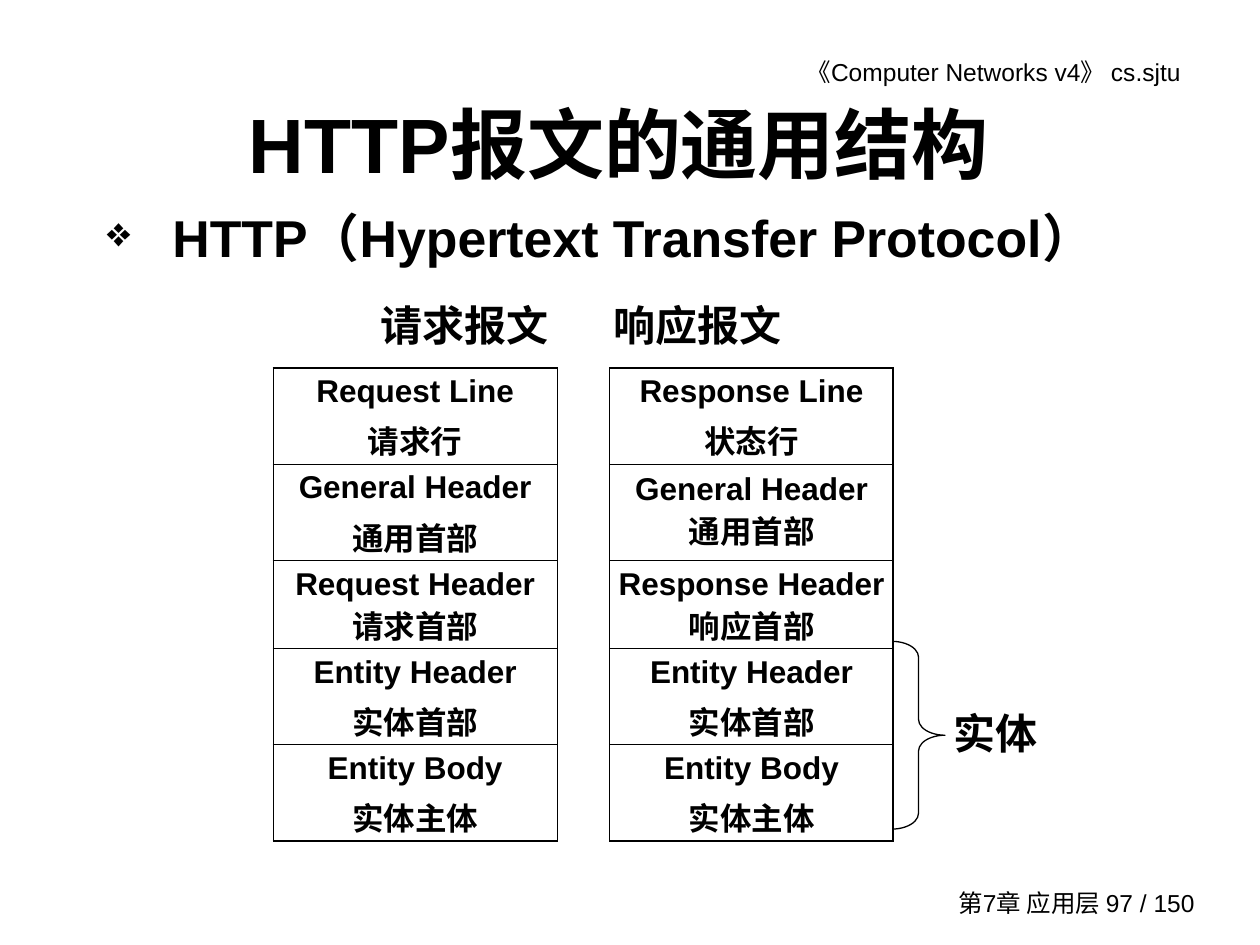
from dataclasses import dataclass

from lxml.etree import SubElement
from pptx import Presentation
from pptx.dml.color import RGBColor
from pptx.enum.shapes import MSO_SHAPE
from pptx.enum.text import MSO_ANCHOR, PP_ALIGN
from pptx.oxml import parse_xml
from pptx.oxml.ns import nsdecls, qn
from pptx.util import Inches, Pt


@dataclass(frozen=True)
class Theme:
    ink: RGBColor = RGBColor(0, 0, 0)
    paper: RGBColor = RGBColor(255, 255, 255)
    latin: str = "Arial"
    chinese: str = "Noto Sans CJK SC"
    title: float = 44
    body: float = 29.6
    heading: float = 24
    cell: float = 18
    small: float = 14
    outer_line: float = 1.08
    inner_line: float = 0.45
    brace_line: float = 0.75
    cell_gap: float = 4.5


THEME = Theme()
SLIDE_WIDTH, SLIDE_HEIGHT = Inches(10), Inches(7.5)


def columns(count):
    return round(count * SLIDE_WIDTH / 100)


def rows(count):
    return round(count * SLIDE_HEIGHT / 75)


@dataclass(frozen=True)
class Box:
    """A region in columns and rows of the slide grid."""
    left: float
    top: float
    width: float
    height: float

    def place(self):
        return (columns(self.left), rows(self.top),
                columns(self.width), rows(self.height))


# English name, Chinese name, and whether the two lines are spaced apart
REQUEST = [("Request Line", "请求行", True), ("General Header", "通用首部", True),
           ("Request Header", "请求首部", False), ("Entity Header", "实体首部", True),
           ("Entity Body", "实体主体", True)]
RESPONSE = [("Response Line", "状态行", True), ("General Header", "通用首部", False),
            ("Response Header", "响应首部", False), ("Entity Header", "实体首部", True),
            ("Entity Body", "实体主体", True)]


def add_span(para, text, size, bold=True, latin=THEME.latin):
    span = para.add_run()
    span.text = text
    span.font.name = latin
    span.font.size = Pt(size)
    span.font.bold = bold
    span.font.color.rgb = THEME.ink
    east_asian = SubElement(span.font._element, qn("a:ea"))
    east_asian.set("typeface", THEME.chinese)


def add_text(page, box, anchor=MSO_ANCHOR.TOP, align=PP_ALIGN.LEFT,
             inset_left=1, inset_right=1):
    frame = page.shapes.add_textbox(*box.place()).text_frame
    frame.word_wrap = True
    frame.vertical_anchor = anchor
    frame.margin_left, frame.margin_right = columns(inset_left), columns(inset_right)
    para = frame.paragraphs[0]
    para.alignment = align
    return para


def running_line(page, box, text, anchor=MSO_ANCHOR.TOP, inset_right=1):
    para = add_text(page, box, anchor, PP_ALIGN.RIGHT, inset_right=inset_right)
    add_span(para, text, THEME.small, bold=False)


def title(page, box):
    para = add_text(page, box, MSO_ANCHOR.MIDDLE, PP_ALIGN.CENTER, inset_right=2.7)
    add_span(para, "HTTP报文的通用结构", THEME.title)


def bullet_line(page, box):
    para = add_text(page, box)
    properties = para._p.get_or_add_pPr()
    indent = columns(5.2)
    properties.set("marL", str(indent))
    properties.set("indent", str(-indent))
    SubElement(properties, qn("a:buSzPct")).set("val", "80000")
    SubElement(properties, qn("a:buChar")).set("char", "❖")
    add_span(para, "HTTP（Hypertext Transfer Protocol）", THEME.body)


def column_headings(page, box):
    para = add_text(page, box, inset_left=8)
    stops = SubElement(para._p.get_or_add_pPr(), qn("a:tabLst"))
    stop = SubElement(stops, qn("a:tab"))
    stop.set("pos", str(columns(18.5)))
    stop.set("algn", "l")
    add_span(para, "请求报文\t响应报文", THEME.heading, latin=THEME.chinese)


def set_borders(cell, widths):
    """Draw the left, right, top and bottom borders; zero means no line."""
    properties = cell._tc.get_or_add_tcPr()
    for index, (side, width) in enumerate(zip("LRTB", widths)):
        paint = (f'<a:solidFill><a:srgbClr val="{THEME.ink}"/></a:solidFill>'
                 if width else "<a:noFill/>")
        properties.insert(index, parse_xml(
            f'<a:ln{side} {nsdecls("a")} w="{Pt(width)}">{paint}</a:ln{side}>'))


def fill_cell(cell, english, chinese, spaced):
    cell.vertical_anchor = MSO_ANCHOR.MIDDLE
    first = cell.text_frame.paragraphs[0]
    second = cell.text_frame.add_paragraph()
    if spaced:
        second.space_before = Pt(THEME.cell_gap)
    for para, text in ((first, english), (second, chinese)):
        para.alignment = PP_ALIGN.CENTER
        add_span(para, text, THEME.cell)


def message_table(page, box):
    table = page.shapes.add_table(len(REQUEST), 3, *box.place()).table
    table.first_row = table.horz_banding = False
    gap = 4.2
    message_width = (box.width - gap) / 2
    for column, width in zip(table.columns, (message_width, gap, message_width)):
        column.width = columns(width)
    for index, row in enumerate(table.rows):
        row.height = rows(6.8 if index == 2 else 7.5)

    outer, inner = THEME.outer_line, THEME.inner_line
    last = len(REQUEST) - 1
    for index, pair in enumerate(zip(REQUEST, RESPONSE)):
        request, spacer, response = (table.cell(index, column) for column in range(3))
        for cell in (request, spacer, response):
            cell.fill.background()
            cell.margin_left = cell.margin_right = columns(0.4)
            cell.margin_top = cell.margin_bottom = rows(0.5)
        for cell, message in zip((request, response), pair):
            fill_cell(cell, *message)
        top = outer if index == 0 else inner
        bottom = outer if index == last else inner
        set_borders(request, (outer, inner, top, bottom))
        set_borders(spacer, (inner, inner, 0, 0))
        set_borders(response, (inner, outer, top, bottom))


def entity_mark(page, brace_box, label_box):
    brace = page.shapes.add_shape(MSO_SHAPE.RIGHT_BRACE, *brace_box.place())
    brace.shadow.inherit = False
    brace.fill.background()
    brace.line.color.rgb = THEME.ink
    brace.line.width = Pt(THEME.brace_line)
    brace.adjustments[0] = 0.3
    brace.adjustments[1] = 0.5
    add_span(add_text(page, label_box), "实体", THEME.heading)


def main():
    deck = Presentation()
    deck.slide_width, deck.slide_height = SLIDE_WIDTH, SLIDE_HEIGHT
    page = deck.slides.add_slide(deck.slide_layouts[6])
    page.background.fill.solid()
    page.background.fill.fore_color.rgb = THEME.paper

    # Running header and footer
    running_line(page, Box(52.8, 4, 43.1, 3.4), "《Computer Networks v4》 cs.sjtu",
                 inset_right=2.2)
    running_line(page, Box(73.2, 70, 22.6, 3.3), "第7章 应用层 97 / 150", MSO_ANCHOR.MIDDLE)

    # Title and lead line
    title(page, Box(7.5, 6.7, 85, 9.2))
    bullet_line(page, Box(7.5, 15.8, 87.4, 7.5))

    # Message structure
    message_table(page, Box(21.7, 29.2, 49.2, 36.8))
    entity_mark(page, Box(70.8, 50.9, 4.2, 14.9), Box(74.7, 55.7, 9.2, 5))
    column_headings(page, Box(22.2, 23.3, 47.8, 5))

    deck.save("out.pptx")


if __name__ == "__main__":
    main()
